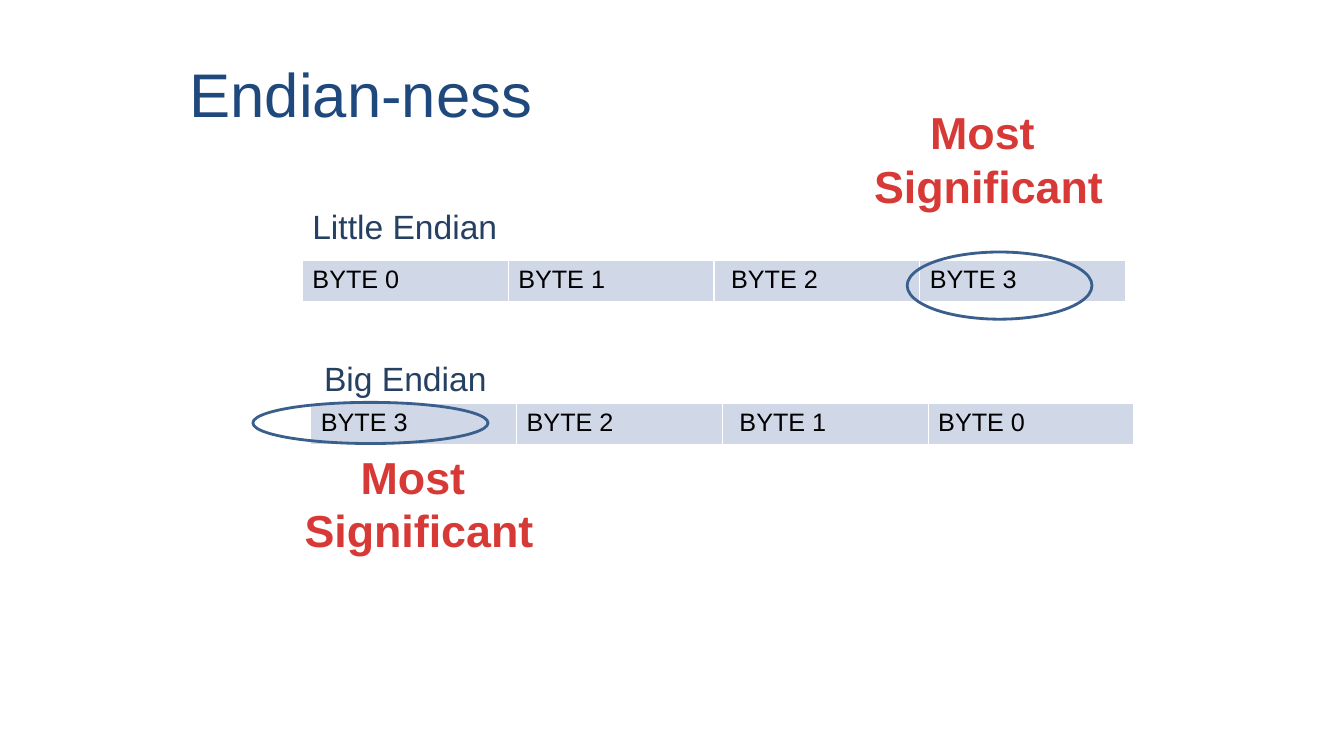
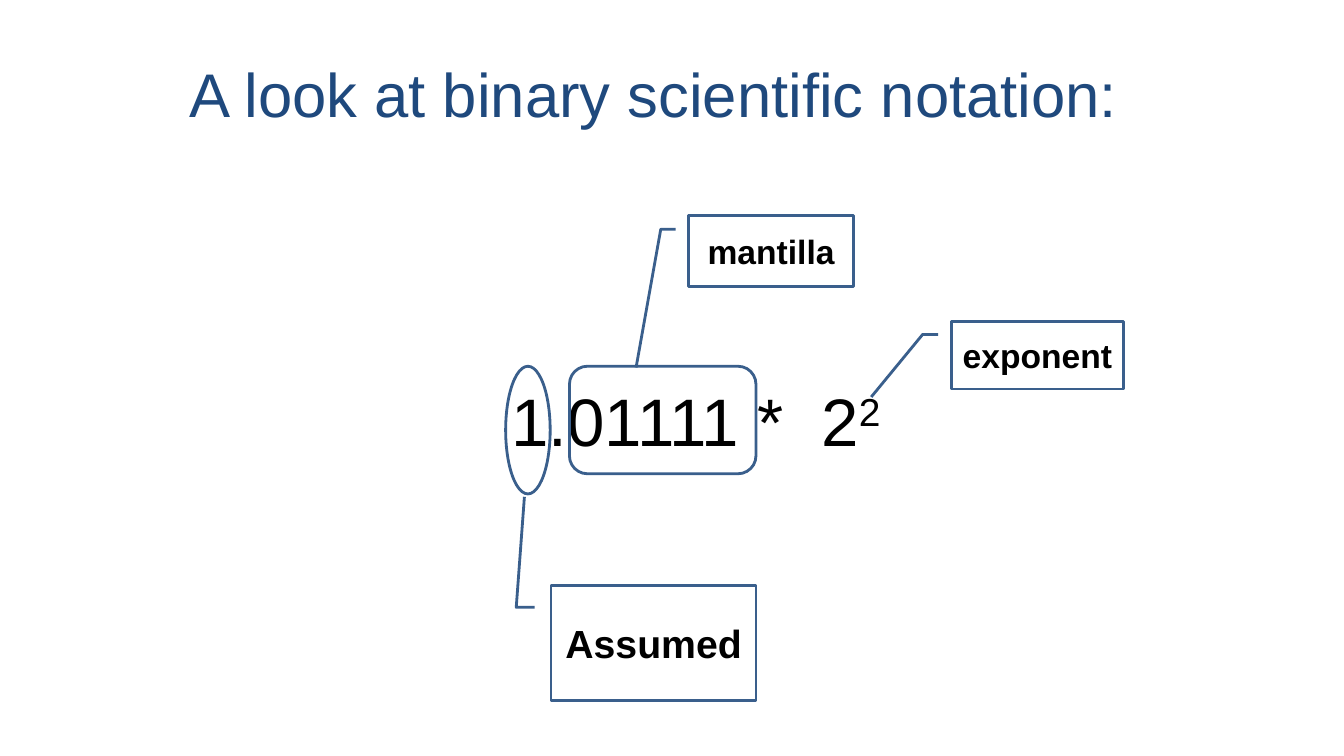
from lxml import etree
from pptx import Presentation
from pptx.dml.color import RGBColor
from pptx.enum.shapes import MSO_SHAPE
from pptx.enum.text import MSO_ANCHOR, PP_ALIGN
from pptx.oxml.ns import qn
from pptx.util import Emu, Inches, Pt

OVAL = MSO_SHAPE.OVAL
ROUND = MSO_SHAPE.ROUNDED_RECTANGLE
CALLOUT = MSO_SHAPE.LINE_CALLOUT_2
LEFT, CENTER = PP_ALIGN.LEFT, PP_ALIGN.CENTER
TOP, MIDDLE = MSO_ANCHOR.TOP, MSO_ANCHOR.MIDDLE

# Shared style: the slide is a grid of 160 columns by 90 rows
COLS, ROWS = 160, 90
FONT = "Arial"
TITLE, LABEL, NOTE = "1F497D", "254061", "D73A36"
INK, LINE, CELL, EDGE = "000000", "3A5F8C", "D0D8E8", "FFFFFF"


def color(code):
    return RGBColor.from_string(code)


class Deck:
    def __init__(self):
        self.prs = Presentation()
        self.prs.slide_width = Inches(13.33)
        self.prs.slide_height = Inches(7.5)
        self.slide = None

    def area(self, x, y, w, h):
        """Turn columns and rows into lengths."""
        col = self.prs.slide_width / COLS
        row = self.prs.slide_height / ROWS
        return [Emu(round(n * unit)) for n, unit in
                ((x, col), (y, row), (w, col), (h, row))]

    def page(self, title):
        self.slide = self.prs.slides.add_slide(self.prs.slide_layouts[6])
        self.text((21.4, 3.6, 130.7, 15), [title], 44, TITLE, anchor=MIDDLE)

    def run(self, para, text, size, ink=INK, bold=False, raised=False):
        run = para.add_run()
        run.text = text
        font = run.font
        font.name, font.size, font.bold = FONT, Pt(size), bold
        font.color.rgb = color(ink)
        if raised:
            run._r.get_or_add_rPr().set("baseline", "30000")

    def text(self, box, lines, size, ink=INK, bold=False, align=LEFT, anchor=TOP):
        frame = self.slide.shapes.add_textbox(*self.area(*box)).text_frame
        frame.word_wrap = True
        frame.vertical_anchor = anchor
        for i, line in enumerate(lines):
            para = frame.add_paragraph() if i else frame.paragraphs[0]
            para.alignment = align
            self.run(para, line, size, ink, bold)
        return frame

    def outline(self, kind, box):
        shape = self.slide.shapes.add_shape(kind, *self.area(*box))
        shape.shadow.inherit = False
        shape.fill.background()
        shape.line.color.rgb = color(LINE)
        shape.line.width = Pt(2)
        return shape

    def callout(self, box, text, size, tip):
        """Boxed word; tip is the pointer's end as (down, across) shares of it."""
        shape = self.outline(CALLOUT, box)
        for i, share in enumerate((0.19, -0.08, 0.19, -0.17, *tip)):
            shape.adjustments[i] = share
        frame = shape.text_frame
        frame.word_wrap = True
        frame.margin_left = frame.margin_right = Inches(0.05)
        frame.vertical_anchor = MIDDLE
        para = frame.paragraphs[0]
        para.alignment = CENTER
        self.run(para, text, size, bold=True)

    def border(self, cell):
        props = cell._tc.get_or_add_tcPr()
        for side in ("lnL", "lnR", "lnT", "lnB"):
            line = etree.SubElement(props, qn("a:" + side), w=str(Pt(1)))
            fill = etree.SubElement(line, qn("a:solidFill"))
            etree.SubElement(fill, qn("a:srgbClr"), val=EDGE)

    def word(self, x, y, order):
        """Row of four bytes in the given order."""
        box = self.area(x, y, 98, 4.9)
        table = self.slide.shapes.add_table(1, len(order), *box).table
        table.first_row = table.horz_banding = False
        for i, num in enumerate(order):
            cell = table.cell(0, i)
            self.border(cell)
            cell.fill.solid()
            cell.fill.fore_color.rgb = color(CELL)
            cell.margin_left = Inches(0.17 if i == 2 else 0.1)
            self.run(cell.text_frame.paragraphs[0], f"BYTE {num}", 18)

    def label(self, x, y, text):
        self.text((x, y, 30, 6), [text], 24, LABEL)

    def note(self, x, y):
        self.text((x, y, 43.8, 14.2), ["Most ", "Significant"], 32, NOTE,
                  bold=True, align=CENTER)


def main():
    deck = Deck()

    # Byte order
    deck.page("Endian-ness")
    deck.word(36, 31, (0, 1, 2, 3))
    deck.word(37, 48, (3, 2, 1, 0))
    deck.outline(OVAL, (108, 30, 22, 8))
    deck.outline(OVAL, (30.1, 47.9, 28, 4.9))
    deck.note(28, 52.9)
    deck.note(95.8, 11.9)
    deck.label(36, 23.9, "Little Endian")
    deck.label(37.4, 42, "Big Endian")

    # Parts of a binary number
    deck.page("A look at binary scientific notation:")
    frame = deck.text((59.7, 44.6, 60, 10), ["1.01111 *  2"], 48)
    deck.run(frame.paragraphs[0], "2", 48, raised=True)
    deck.callout((82, 25.7, 19.6, 8.4), "mantilla", 24, (2.15, -0.32))
    deck.outline(ROUND, (67.8, 43.6, 22.2, 12.8))
    deck.callout((113.3, 38.3, 20.4, 8), "exponent", 24, (1.12, -0.47))
    deck.outline(OVAL, (60.2, 43.6, 5.3, 15.2))
    deck.callout((65.6, 69.7, 24.4, 13.7), "Assumed", 28, (-0.77, -0.13))

    deck.prs.save("out.pptx")


if __name__ == "__main__":
    main()
